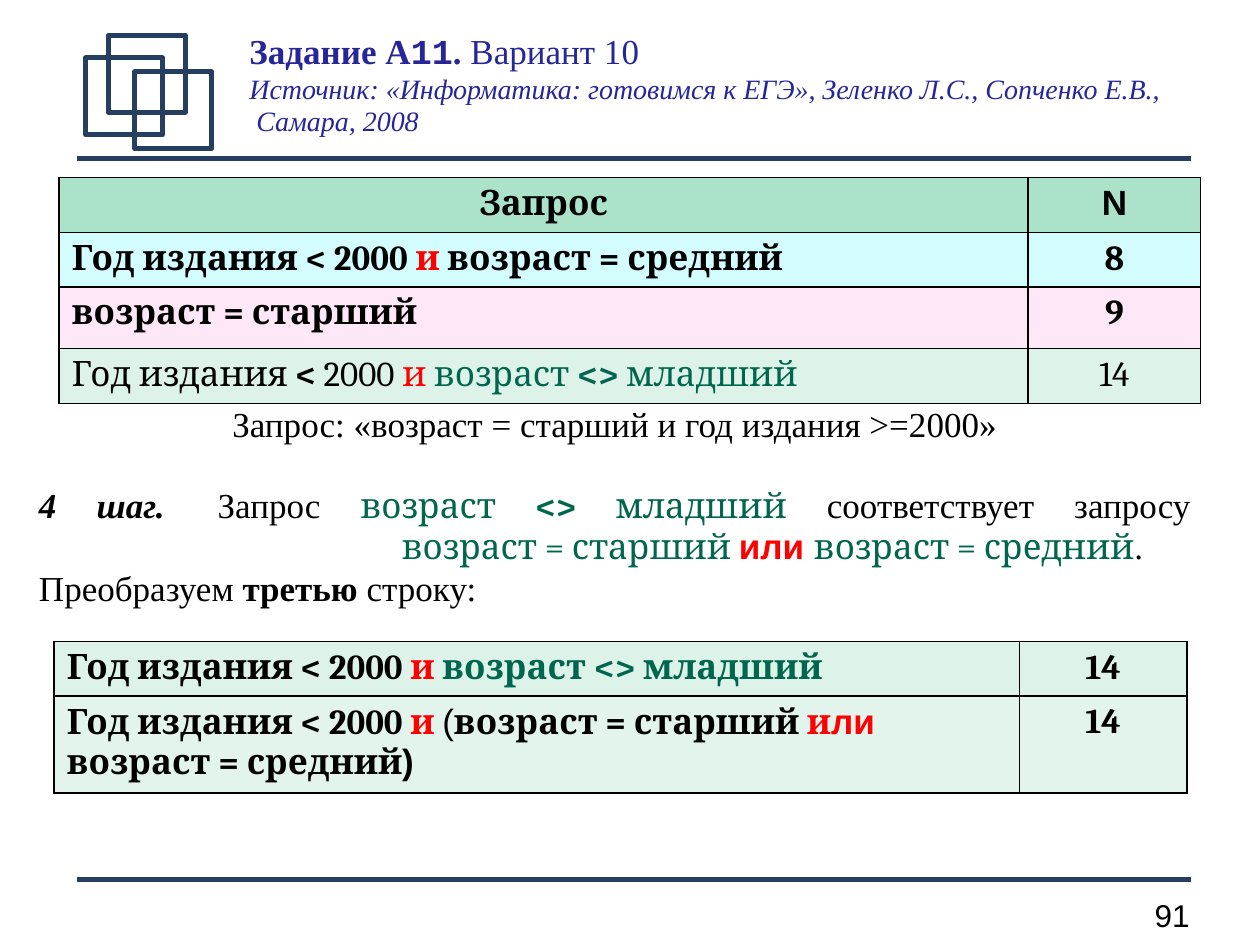
from dataclasses import dataclass
from typing import NamedTuple

from lxml.etree import SubElement
from pptx import Presentation
from pptx.dml.color import RGBColor
from pptx.enum.shapes import MSO_CONNECTOR, MSO_SHAPE
from pptx.enum.text import MSO_ANCHOR, PP_ALIGN
from pptx.oxml.ns import qn
from pptx.util import Inches, Pt


@dataclass(frozen=True)
class Theme:
    navy: str = "263E60"
    title: str = "262699"
    ink: str = "000000"
    red: str = "FF0000"
    green: str = "00664D"
    head: str = "AAE2CA"
    cyan: str = "D2FCFE"
    pink: str = "FEE8F7"
    mint: str = "DDF3EA"
    pale: str = "E2F4EC"
    serif: str = "Times New Roman"
    sans: str = "Arial"
    mono: str = "Courier New"
    book: str = "Cambria"
    body: float = 20
    small: float = 16
    page: float = 18
    rule: float = 2.83
    grid: float = 1


T = Theme()


class Part(NamedTuple):
    text: str
    color: str = T.ink
    font: str = T.book
    bold: bool = True
    italic: bool = False
    size: float = T.body


class Row(NamedTuple):
    height: float
    fill: str
    query: list[Part]
    count: Part


def plain(text: str, color: str = T.ink, font: str = T.book) -> Part:
    return Part(text, color, font, bold=False)


def write(para, parts: list[Part], align=PP_ALIGN.LEFT, spacing: float = 1) -> None:
    """Fill a paragraph with styled runs; a newline is a line break."""
    para.alignment = align
    para.line_spacing = spacing
    for part in parts:
        for i, line in enumerate(part.text.split("\n")):
            if i:
                para.add_line_break()
            if not line:
                continue
            run = para.add_run()
            run.text = line
            font = run.font
            font.name, font.size = part.font, Pt(part.size)
            font.bold, font.italic = part.bold, part.italic
            font.color.rgb = RGBColor.from_string(part.color)


def add_rule(slide, y: float) -> None:
    line = slide.shapes.add_connector(
        MSO_CONNECTOR.STRAIGHT, Inches(0.61), Inches(y), Inches(9.45), Inches(y))
    line.line.color.rgb = RGBColor.from_string(T.navy)
    line.line.width = Pt(T.rule)
    SubElement(line._element.spPr, qn("a:effectLst"))


def add_square(slide, x: float, y: float) -> None:
    box = slide.shapes.add_shape(
        MSO_SHAPE.ROUNDED_RECTANGLE, Inches(x), Inches(y), Inches(0.61), Inches(0.61))
    box.adjustments[0] = 0
    box.shadow.inherit = False
    box.fill.background()
    box.line.color.rgb = RGBColor.from_string(T.navy)
    box.line.width = Pt(T.rule)


def add_text(slide, x: float, y: float, w: float, h: float):
    frame = slide.shapes.add_textbox(
        Inches(x), Inches(y), Inches(w), Inches(h)).text_frame
    frame.word_wrap = True
    return frame


def add_edges(cell) -> None:
    props = cell._tc.get_or_add_tcPr()
    for i, side in enumerate(("lnL", "lnR", "lnT", "lnB")):
        edge = props.makeelement(qn(f"a:{side}"), {"w": str(Pt(T.grid))})
        fill = SubElement(edge, qn("a:solidFill"))
        SubElement(fill, qn("a:srgbClr"), val=T.ink)
        props.insert(i, edge)


def add_grid(slide, x: float, y: float, cols: tuple[float, float],
             rows: list[Row]) -> None:
    table = slide.shapes.add_table(
        len(rows), len(cols), Inches(x), Inches(y), Inches(sum(cols)),
        Inches(sum(row.height for row in rows))).table
    table.first_row = table.horz_banding = False
    for col, width in zip(table.columns, cols):
        col.width = Inches(width)
    for r, row in enumerate(rows):
        table.rows[r].height = Inches(row.height)
        centred = len(row.query) == 1 and row.fill == T.head
        left = PP_ALIGN.CENTER if centred else PP_ALIGN.LEFT
        for c, (parts, align) in enumerate(
                ((row.query, left), ([row.count], PP_ALIGN.CENTER))):
            cell = table.cell(r, c)
            cell.fill.solid()
            cell.fill.fore_color.rgb = RGBColor.from_string(row.fill)
            write(cell.text_frame.paragraphs[0], parts, align)
            add_edges(cell)


def add_title(slide) -> None:
    title = slide.shapes.title
    title.left, title.top = Inches(1.88), Inches(0.2)
    title.width, title.height = Inches(7.73), Inches(1)
    frame = title.text_frame
    frame.vertical_anchor = MSO_ANCHOR.TOP
    head = Part("Задание А", T.title, T.serif)
    note = head._replace(bold=False, italic=True, size=T.small)
    write(frame.paragraphs[0], [
        head, head._replace(text="11", font=T.mono), head._replace(text="."),
        head._replace(text=" Вариант 10\n", bold=False),
        note._replace(text="Источник: «Информатика: готовимся к ЕГЭ», "
                           "Зеленко Л.С., Сопченко Е.В.,")], spacing=0.98)
    write(frame.add_paragraph(), [note._replace(text=" Самара, 2008")], spacing=0.98)


def add_body(slide) -> None:
    frame = add_text(slide, 0.31, 3.21, 9.14, 1.65)
    frame.margin_left = frame.margin_right = 0
    frame.margin_top = frame.margin_bottom = 0
    write(frame.paragraphs[0],
          [plain("Запрос: «возраст = старший и год издания >=2000»", font=T.serif)],
          PP_ALIGN.CENTER, 0.98)

    step = frame.add_paragraph()
    write(step, [
        Part("4 шаг.\t ", font=T.serif, italic=True),
        plain("Запрос ", font=T.serif), plain("возраст ", T.green),
        Part("<> ", T.green), plain("младший", T.green),
        plain(" соответствует запросу\n\t\t", font=T.serif),
        plain("возраст = старший ", T.green), Part("или ", T.red, T.sans),
        plain("возраст = средний", T.green), plain(".", font=T.serif),
    ], PP_ALIGN.JUSTIFY, 0.98)
    step.space_before = Pt(23)
    stops = SubElement(step._p.get_or_add_pPr(), qn("a:tabLst"))
    for stop in (0.85, 2.88):
        SubElement(stops, qn("a:tab"), pos=str(Inches(stop)), algn="l")

    write(frame.add_paragraph(), [
        plain("Преобразуем ", font=T.serif), Part("третью", font=T.serif),
        plain(" строку:", font=T.serif)], PP_ALIGN.JUSTIFY, 0.98)


def main() -> None:
    deck = Presentation()
    deck.slide_width, deck.slide_height = Inches(10), Inches(7.5)
    slide = deck.slides.add_slide(deck.slide_layouts[5])

    # Frame: rules, squares, page number
    for y in (6.98, 1.26):
        add_rule(slide, y)
    for x, y in ((0.68, 0.46), (0.86, 0.28), (1.07, 0.57)):
        add_square(slide, x, y)
    page = add_text(slide, 8.45, 7.06, 1.09, 0.4)
    write(page.paragraphs[0],
          [Part("91", font=T.sans, bold=False, size=T.page)], PP_ALIGN.RIGHT)

    add_title(slide)
    add_body(slide)

    # Query tables
    year, both = Part("Год издания < 2000 "), Part("и ", T.red)
    middle = Part("возраст = средний")
    add_grid(slide, 0.47, 1.41, (7.69, 1.37), [
        Row(0.43, T.head, [Part("Запрос")], Part("N", font=T.sans)),
        Row(0.43, T.cyan, [year, both, middle], Part("8")),
        Row(0.49, T.pink, [Part("возраст = старший")], Part("9")),
        Row(0.43, T.mint, [
            plain("Год издания "), Part("< "), plain("2000 "), plain("и ", T.red),
            plain("возраст ", T.green), Part("<> ", T.green),
            plain("младший", T.green)], plain("14")),
    ])
    add_grid(slide, 0.43, 5.09, (7.66, 1.33), [
        Row(0.43, T.mint, [year, both, Part("возраст <> младший", T.green)],
            Part("14")),
        Row(0.77, T.pale, [
            year, both, plain("(", font=T.sans), Part("возраст = старший "),
            Part("и", T.red), Part("ли \n", T.red, T.sans), middle,
            Part(")", font=T.sans)], Part("14")),
    ])
    deck.save("out.pptx")


if __name__ == "__main__":
    main()
